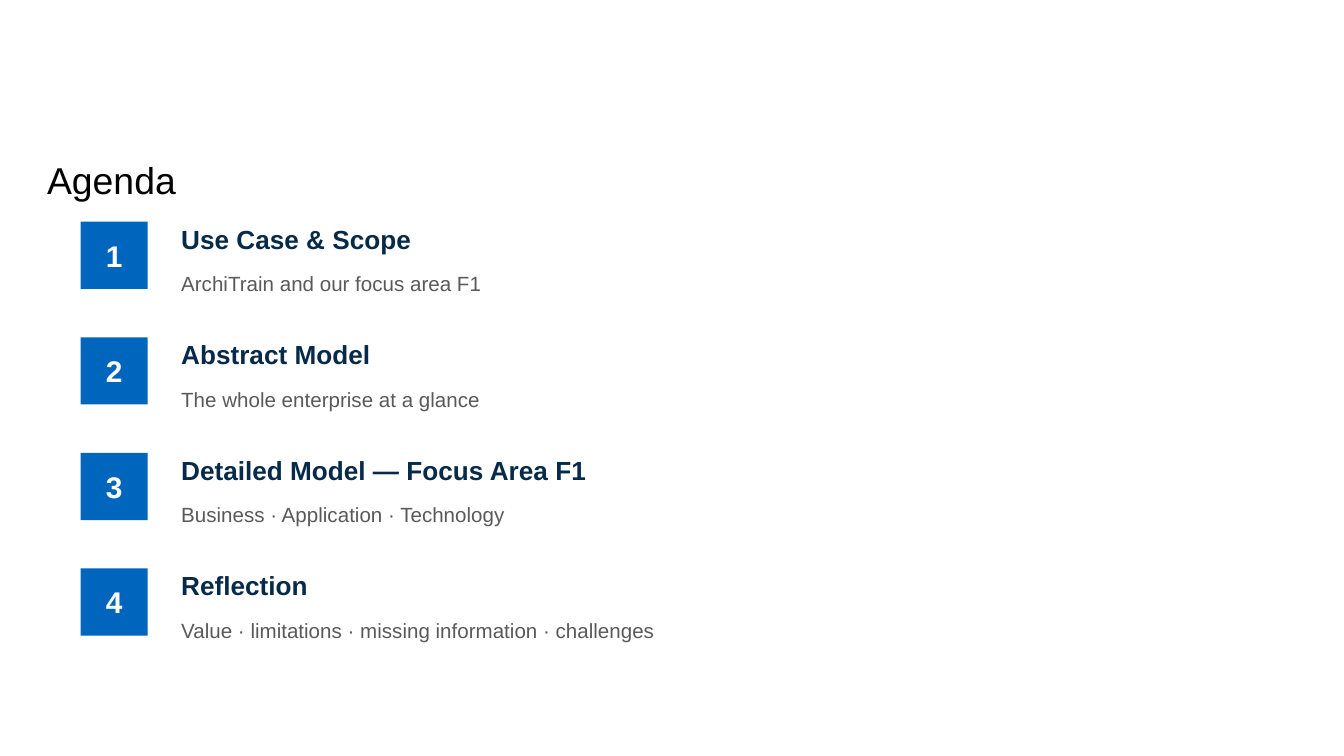
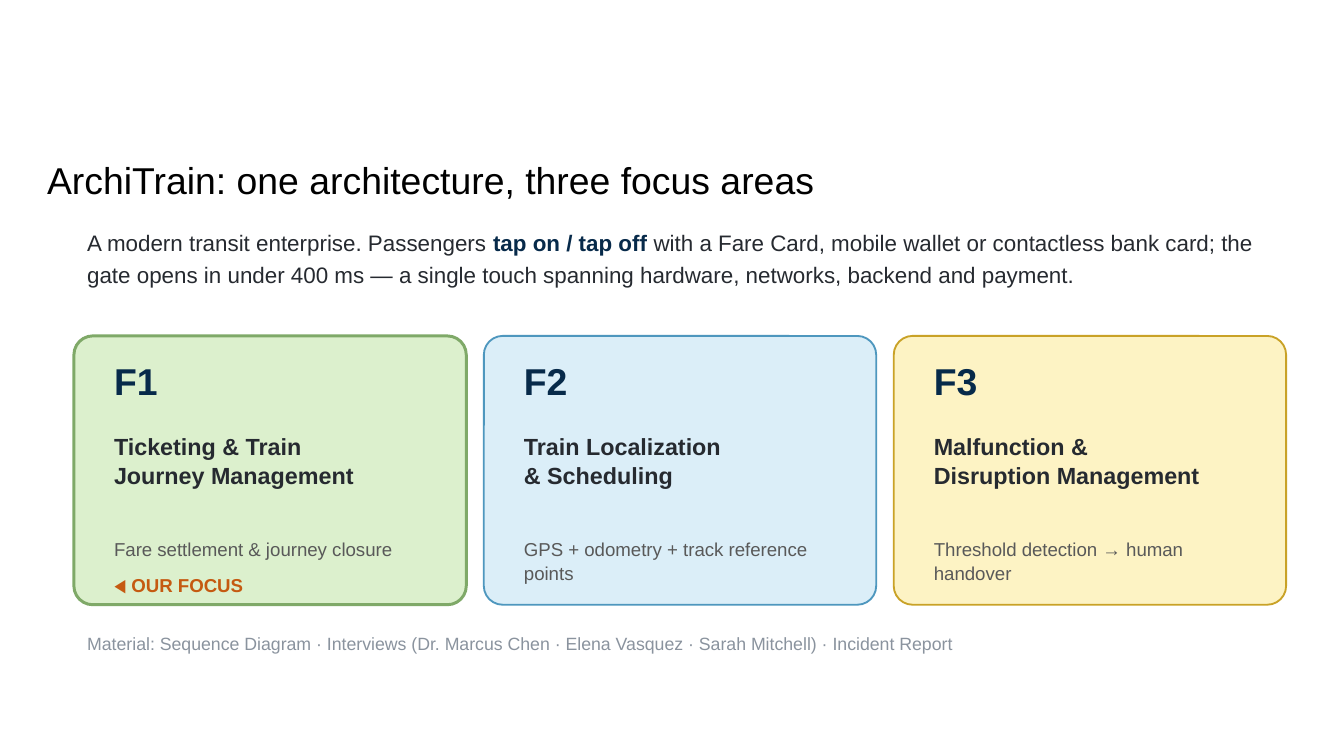
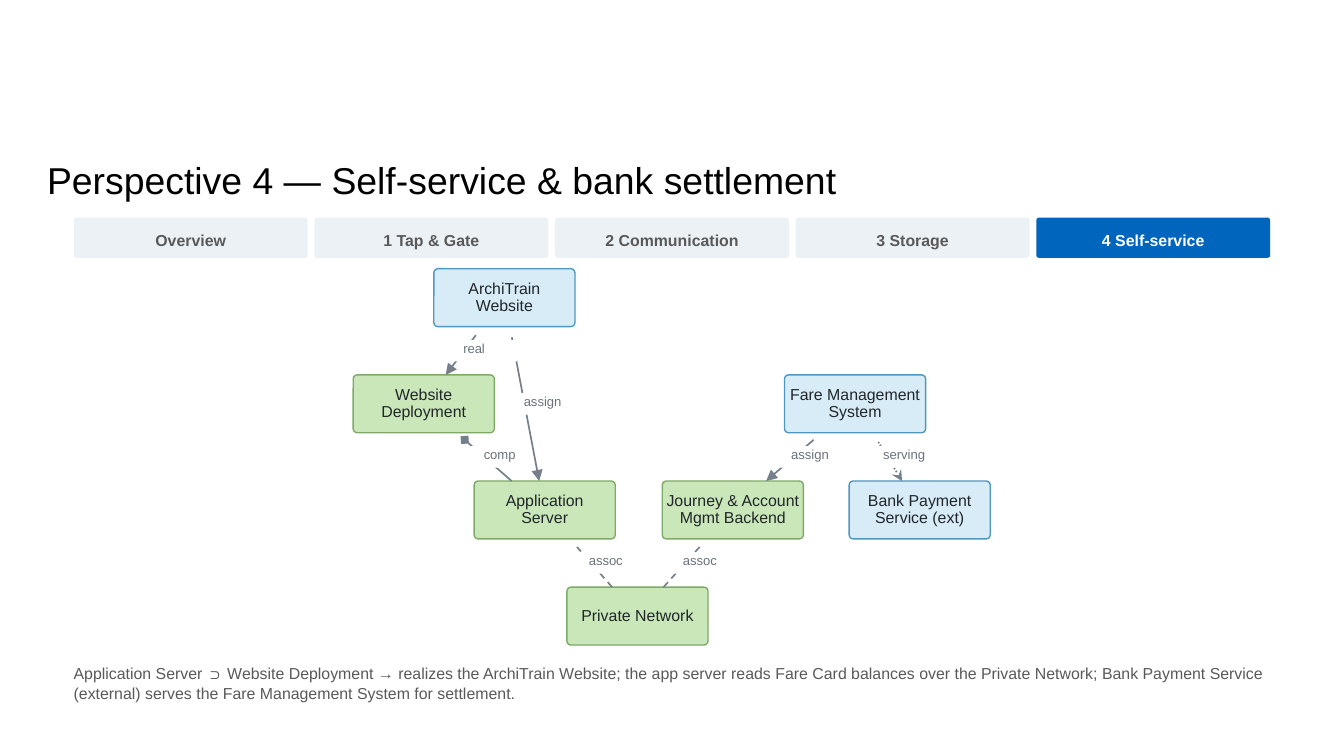
from math import hypot
from typing import NamedTuple

from lxml.etree import SubElement
from pptx import Presentation
from pptx.dml.color import RGBColor
from pptx.enum.dml import MSO_LINE
from pptx.enum.shapes import MSO_CONNECTOR, MSO_SHAPE
from pptx.enum.text import MSO_ANCHOR, MSO_AUTO_SIZE, PP_ALIGN
from pptx.oxml.ns import qn
from pptx.util import Pt

FONT = "Arial"
BLACK = RGBColor(0x00, 0x00, 0x00)
WHITE = RGBColor(0xFF, 0xFF, 0xFF)
BLUE = RGBColor(0x00, 0x65, 0xBD)
NAVY = RGBColor(0x07, 0x2A, 0x4A)
INK = RGBColor(0x26, 0x2A, 0x30)
GREY = RGBColor(0x59, 0x59, 0x59)
PALE_GREY = RGBColor(0x8A, 0x93, 0x9E)
ORANGE = RGBColor(0xC5, 0x5A, 0x11)
TAB_FILL = RGBColor(0xEC, 0xF1, 0xF6)
GREEN_LINE = RGBColor(0x7F, 0xA9, 0x68)
BLUE_LINE = RGBColor(0x4E, 0x97, 0xBE)
YELLOW_LINE = RGBColor(0xC9, 0xA2, 0x27)
GREEN_CARD = RGBColor(0xDC, 0xF0, 0xCD)
BLUE_CARD = RGBColor(0xDB, 0xEE, 0xF8)
YELLOW_CARD = RGBColor(0xFD, 0xF3, 0xC4)
GREEN_NODE = RGBColor(0xC9, 0xE7, 0xB8)
BLUE_NODE = RGBColor(0xD7, 0xEC, 0xF7)
NODE_TEXT = RGBColor(0x22, 0x26, 0x2B)
LINK_LINE = RGBColor(0x76, 0x80, 0x8B)
LINK_TEXT = RGBColor(0x6A, 0x72, 0x7C)

CORNER = 0.07
LINK_GAP = 5.76


class Box(NamedTuple):
    """A rectangle in points."""
    left: float
    top: float
    width: float
    height: float

    def inner(self, left, top, width, height):
        return Box(self.left + left, self.top + top, width, height)

    def lengths(self):
        return [Pt(value) for value in self]

    def center(self):
        return self.left + self.width / 2, self.top + self.height / 2


def write(frame, text, size, color, bold=False, align=PP_ALIGN.LEFT, spacing=None):
    paragraph = frame.paragraphs[0]
    paragraph.text = text
    paragraph.alignment = align
    if spacing:
        paragraph.line_spacing = spacing
    font = paragraph.font
    font.name, font.size, font.bold = FONT, Pt(size), bold
    font.color.rgb = color
    return paragraph


def set_margins(frame, left, top, right, bottom):
    frame.margin_left, frame.margin_top = Pt(left), Pt(top)
    frame.margin_right, frame.margin_bottom = Pt(right), Pt(bottom)


def add_text(slide, box, text, size, color, **style):
    frame = slide.shapes.add_textbox(*box.lengths()).text_frame
    frame.word_wrap = True
    frame.auto_size = MSO_AUTO_SIZE.SHAPE_TO_FIT_TEXT
    return write(frame, text, size, color, **style)


def add_panel(slide, box, fill, line=None, line_width=1, rounded=True):
    kind = MSO_SHAPE.ROUNDED_RECTANGLE if rounded else MSO_SHAPE.RECTANGLE
    shape = slide.shapes.add_shape(kind, *box.lengths())
    shape.shadow.inherit = False
    if rounded:
        shape.adjustments[0] = CORNER
    shape.fill.solid()
    shape.fill.fore_color.rgb = fill
    if line is None:
        shape.line.fill.background()
    else:
        shape.line.color.rgb = line
        shape.line.width = Pt(line_width)
    return shape


def add_titled_slide(presentation, title):
    slide = presentation.slides.add_slide(presentation.slide_layouts[5])
    placeholder = slide.shapes.title
    placeholder.left, placeholder.top, placeholder.width, placeholder.height = (
        Box(25.2, 76.3, 670.3, 32.4).lengths())
    frame = placeholder.text_frame
    frame.vertical_anchor = MSO_ANCHOR.TOP
    frame.auto_size = MSO_AUTO_SIZE.SHAPE_TO_FIT_TEXT
    set_margins(frame, 0, 0, 0, 0)
    write(frame, title, 20, BLACK, spacing=Pt(32))
    return slide


def add_agenda_row(slide, box, number, heading, detail):
    badge = add_panel(slide, box.inner(0, 0, 36, 36), BLUE, rounded=False)
    write(badge.text_frame, str(number), 16, WHITE, bold=True, align=PP_ALIGN.CENTER)
    text_width = box.width - 46.8
    add_text(slide, box.inner(46.8, -2.9, text_width, 25.2), heading, 14, NAVY, bold=True)
    add_text(slide, box.inner(46.8, 23, text_width, 25.2), detail, 11, GREY)


def build_agenda(presentation):
    slide = add_titled_slide(presentation, "Agenda")
    rows = [
        ("Use Case & Scope", "ArchiTrain and our focus area F1"),
        ("Abstract Model", "The whole enterprise at a glance"),
        ("Detailed Model — Focus Area F1", "Business · Application · Technology"),
        ("Reflection", "Value · limitations · missing information · challenges"),
    ]
    for index, (heading, detail) in enumerate(rows):
        box = Box(43.2, 118.8 + index * 61.92, 637.2, 48.2)
        add_agenda_row(slide, box, index + 1, heading, detail)


def add_focus_card(slide, box, code, heading, detail, fill, line, is_focus):
    add_panel(slide, box, fill, line, 1.6 if is_focus else 1)
    width = 183.6
    add_text(slide, box.inner(14.4, 8.6, width, 32.4), code, 20, NAVY, bold=True)
    add_text(slide, box.inner(14.4, 47.5, width, 50.4), heading, 12.5, INK,
             bold=True, spacing=1.04)
    add_text(slide, box.inner(14.4, 104.4, width, 36), detail, 10, GREY, spacing=1.04)
    if is_focus:
        add_text(slide, box.inner(14.4, 123.8, width, 21.6), "◀ OUR FOCUS", 10, ORANGE,
                 bold=True)


def build_focus_areas(presentation):
    slide = add_titled_slide(presentation, "ArchiTrain: one architecture, three focus areas")
    intro = add_text(slide, Box(39.6, 116.6, 644.4, 54), "", 12, INK, spacing=1.18)
    intro.add_run().text = "A modern transit enterprise. Passengers "
    emphasis = intro.add_run()
    emphasis.text = "tap on / tap off"
    emphasis.font.bold = True
    emphasis.font.color.rgb = NAVY
    intro.add_run().text = (
        " with a Fare Card, mobile wallet or contactless bank card; the gate opens in under "
        "400 ms — a single touch spanning hardware, networks, backend and payment.")

    cards = [
        ("Ticketing & Train\nJourney Management", "Fare settlement & journey closure",
         GREEN_CARD, GREEN_LINE),
        ("Train Localization\n& Scheduling", "GPS + odometry + track reference points",
         BLUE_CARD, BLUE_LINE),
        ("Malfunction &\nDisruption Management", "Threshold detection → human handover",
         YELLOW_CARD, YELLOW_LINE),
    ]
    for index, (heading, detail, fill, line) in enumerate(cards):
        box = Box(39.6 + index * 219.6, 180, 210.2, 144)
        add_focus_card(slide, box, f"F{index + 1}", heading, detail, fill, line, index == 0)
    add_text(slide, Box(39.6, 335.5, 644.4, 28.8),
             "Material: Sequence Diagram · Interviews (Dr. Marcus Chen · Elena Vasquez · "
             "Sarah Mitchell) · Incident Report", 9.5, PALE_GREY)


def add_tabs(slide, box, labels, active):
    gap = 3.6
    width = (box.width - gap * (len(labels) - 1)) / len(labels)
    for index, label in enumerate(labels):
        is_active = label == active
        tab = add_panel(slide, box.inner(index * (width + gap), 0, width, box.height),
                        BLUE if is_active else TAB_FILL)
        set_margins(tab.text_frame, 7.2, 2.4, 7.2, 0)
        write(tab.text_frame, label, 8.5, WHITE if is_active else GREY,
              bold=True, align=PP_ALIGN.CENTER)


def add_node(slide, box, text, fill, line):
    frame = add_panel(slide, box, fill, line, 0.75).text_frame
    set_margins(frame, 0.72, 0, 0.72, 0)
    write(frame, text, 8.5, NODE_TEXT, align=PP_ALIGN.CENTER, spacing=0.92)


def add_link(slide, lower, upper, label, label_shift, begin=None, end=None, dash=None):
    """Join two nodes along their centre line, stopping short of the upper one."""
    lower_x, lower_y = lower.center()
    upper_x, upper_y = upper.center()
    slope = (upper_x - lower_x) / (upper_y - lower_y)
    end_y = upper.top + upper.height + LINK_GAP / hypot(1, slope)
    points = [(lower_x + slope * (y - lower_y), y) for y in (lower.top, end_y)]
    connector = slide.shapes.add_connector(
        MSO_CONNECTOR.STRAIGHT, *[Pt(value) for point in points for value in point])
    connector.line.color.rgb = LINK_LINE
    connector.line.width = Pt(0.9)
    if dash:
        connector.line.dash_style = dash
    properties = connector._element.spPr
    for tag, kind in (("a:headEnd", begin), ("a:tailEnd", end)):
        if kind:
            SubElement(properties.find(qn("a:ln")), qn(tag), type=kind)
    SubElement(properties, qn("a:effectLst"))

    width, height = 46.1, 11.5
    label_box = Box((lower_x + upper_x - width) / 2 + label_shift,
                    (lower_y + upper_y - height) / 2, width, height)
    frame = add_panel(slide, label_box, WHITE, rounded=False).text_frame
    frame.word_wrap = False
    frame.auto_size = MSO_AUTO_SIZE.SHAPE_TO_FIT_TEXT
    frame.vertical_anchor = MSO_ANCHOR.TOP
    set_margins(frame, 0, 0, 0, 0)
    write(frame, label, 7, LINK_TEXT, align=PP_ALIGN.CENTER)


def add_diagram(slide, box):
    green, blue = (GREEN_NODE, GREEN_LINE), (BLUE_NODE, BLUE_LINE)
    nodes = {
        "server": (64.8, 2, "Application\nServer", green),
        "deployment": (0, 1, "Website\nDeployment", green),
        "website": (43.2, 0, "ArchiTrain\nWebsite", blue),
        "network": (114.5, 3, "Private Network", green),
        "backend": (165.6, 2, "Journey & Account\nMgmt Backend", green),
        "bank": (265.7, 2, "Bank Payment\nService (ext)", blue),
        "fares": (231.1, 1, "Fare Management\nSystem", blue),
    }
    node_height = 31
    row_step = (box.height - node_height) / 3
    places = {}
    for name, (left, row, text, colors) in nodes.items():
        places[name] = box.inner(left, row * row_step, 75.6, node_height)
        add_node(slide, places[name], text, *colors)

    links = [
        ("server", "deployment", "comp", 8.3, {"end": "diamond"}),
        ("server", "website", "assign", 9.7, {"begin": "triangle"}),
        ("deployment", "website", "real", 5.4, {"begin": "triangle"}),
        ("network", "server", "assoc", 7.9, {"dash": MSO_LINE.DASH}),
        ("network", "backend", "assoc", 7.9, {"dash": MSO_LINE.DASH}),
        ("backend", "fares", "assign", 8.6, {"begin": "triangle"}),
        ("bank", "fares", "serving", 9, {"begin": "stealth", "dash": MSO_LINE.ROUND_DOT}),
    ]
    for lower, upper, label, label_shift, style in links:
        add_link(slide, places[lower], places[upper], label, label_shift, **style)


def build_perspective(presentation):
    slide = add_titled_slide(presentation, "Perspective 4 — Self-service & bank settlement")
    tabs = ["Overview", "1 Tap & Gate", "2 Communication", "3 Storage", "4 Self-service"]
    add_tabs(slide, Box(39.6, 116.6, 640.9, 21.6), tabs, tabs[-1])
    add_diagram(slide, Box(189.2, 144, 341.3, 201.6))
    add_text(slide, Box(32.4, 351.4, 655.2, 39.6),
             "Application Server ⊃ Website Deployment → realizes the ArchiTrain Website; the "
             "app server reads Fare Card balances over the Private Network; Bank Payment "
             "Service (external) serves the Fare Management System for settlement.",
             8.5, GREY, spacing=1.05)


def main():
    presentation = Presentation()
    presentation.slide_width, presentation.slide_height = Pt(720), Pt(405)
    build_agenda(presentation)
    build_focus_areas(presentation)
    build_perspective(presentation)
    presentation.save("out.pptx")


if __name__ == "__main__":
    main()
